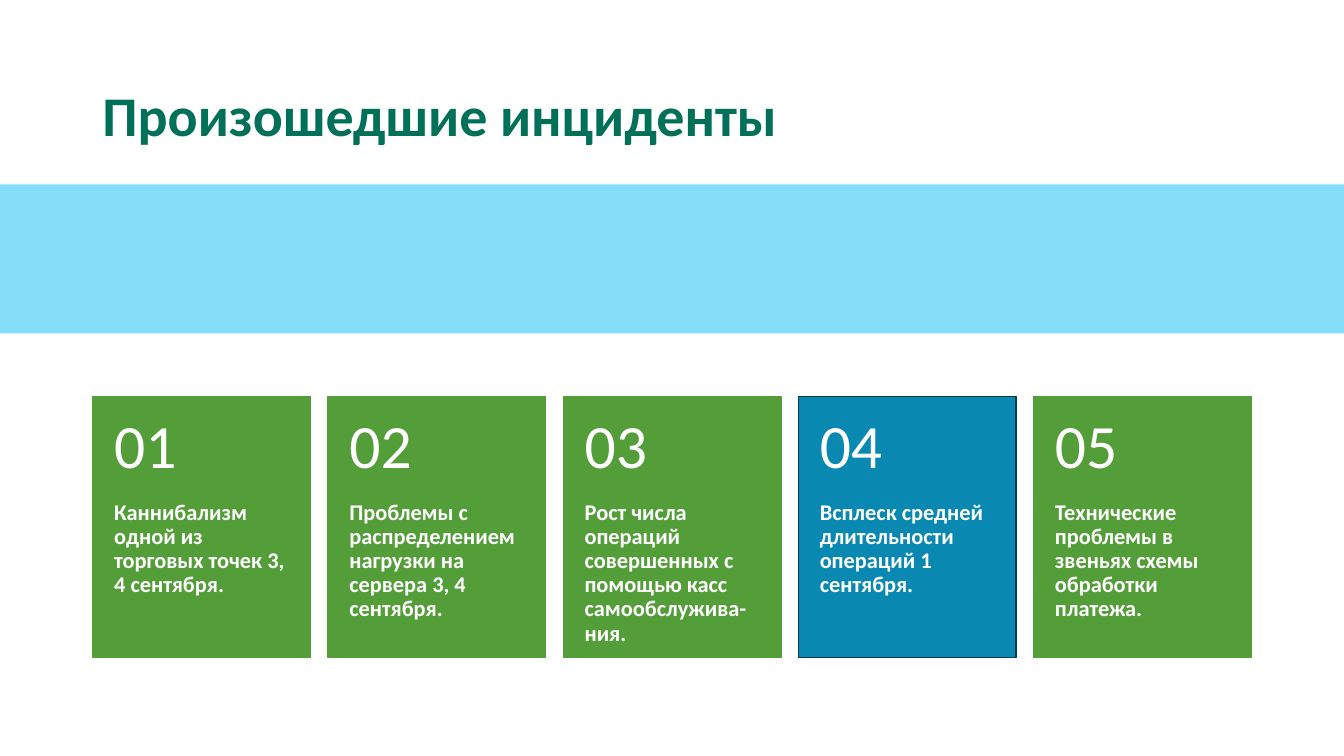
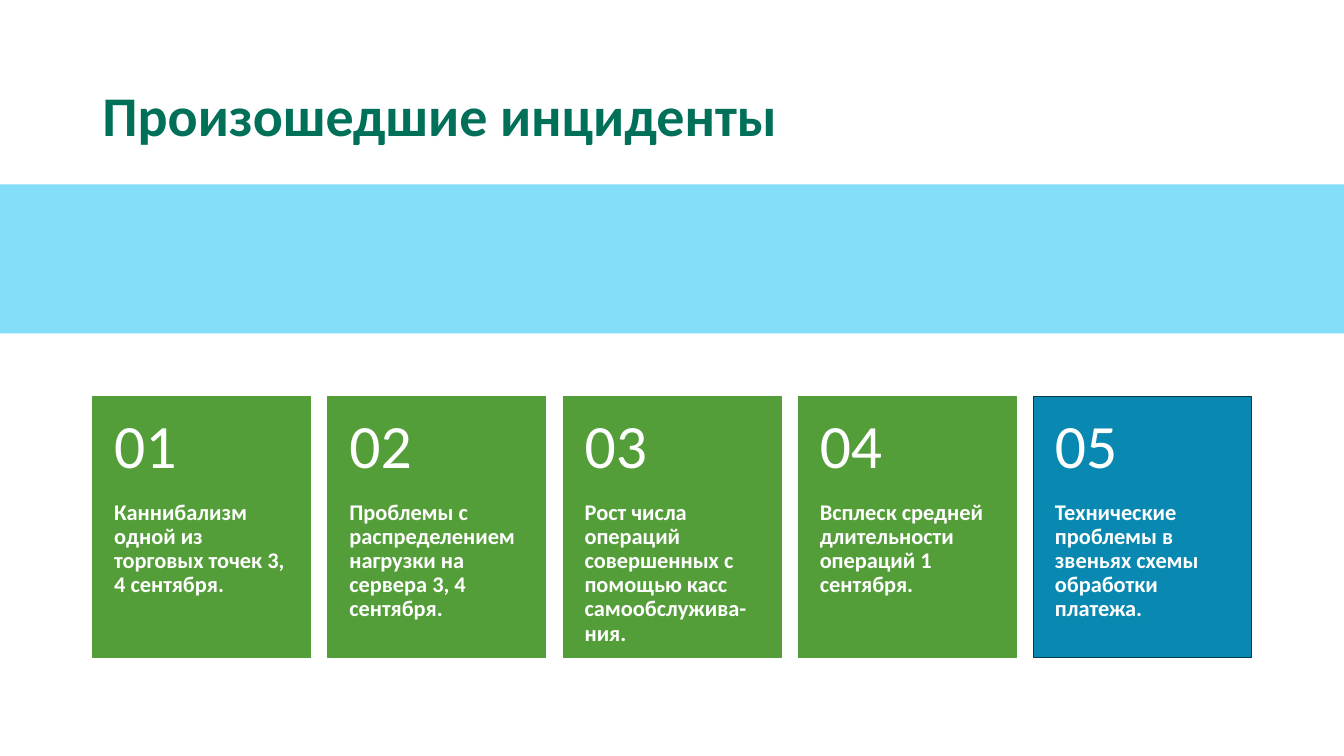
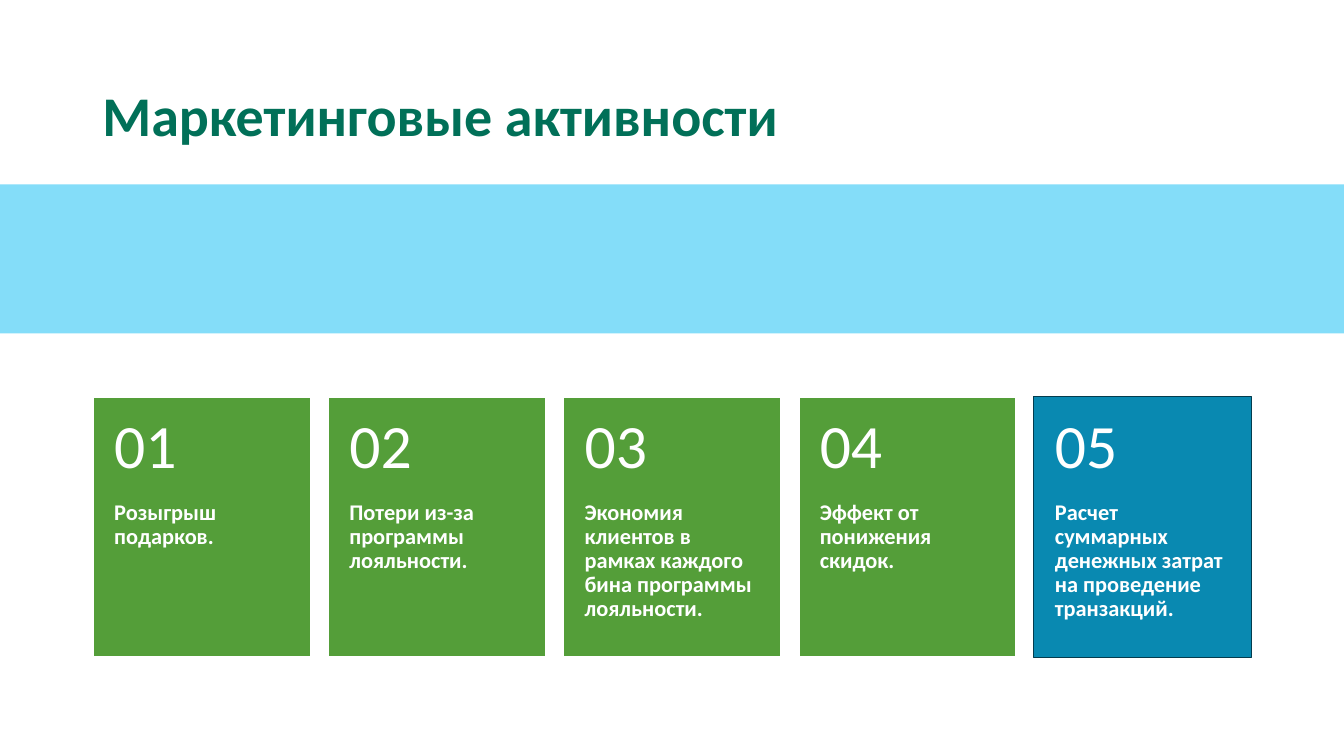
from pptx import Presentation
from pptx.dml.color import RGBColor
from pptx.enum.shapes import MSO_SHAPE
from pptx.enum.text import MSO_ANCHOR, MSO_AUTO_SIZE, PP_ALIGN
from pptx.util import Pt

RECTANGLE = MSO_SHAPE.RECTANGLE
TOP, MIDDLE = MSO_ANCHOR.TOP, MSO_ANCHOR.MIDDLE
LEFT = PP_ALIGN.LEFT
NO_AUTOFIT = MSO_AUTO_SIZE.NONE

INCIDENTS = [
    "Каннибализм одной из торговых точек 3, 4 сентября.",
    "Проблемы с распределением нагрузки на сервера 3, 4 сентября.",
    "Рост числа операций совершенных с помощью касс самообслужива-ния.",
    "Всплеск средней длительности операций 1 сентября.",
    "Технические проблемы в звеньях схемы обработки платежа.",
]
ACTIVITIES = [
    "Розыгрыш подарков.",
    "Потери из-за программы лояльности.",
    "Экономия клиентов в рамках каждого бина программы лояльности.",
    "Эффект от понижения скидок.",
    "Расчет суммарных денежных затрат на проведение транзакций.",
]
GREEN_EDGE, WHITE_EDGE = ("green", 1), ("white", 1.5)
SLIDES = [
    {"title": "Произошедшие инциденты", "cards": INCIDENTS, "active": 4, "edge": GREEN_EDGE},
    {"title": "Произошедшие инциденты", "cards": INCIDENTS, "active": 5, "edge": GREEN_EDGE},
    {"title": "Маркетинговые активности", "cards": ACTIVITIES, "active": 5, "edge": WHITE_EDGE},
]

COLORS = {
    "title": "017058",
    "band": "84DDF9",
    "green": "549E39",
    "active": "0989B1",
    "active edge": "043C4E",
    "white": "FFFFFF",
}
FONT = "Calibri"

SLIDE_W, SLIDE_H = 960, 540
TITLE_BOX = (66, 54, 828, 104.4)
TITLE_INSETS = (7.2, 3.6, 7.2, 47.6)
BAND_BOX = (0, 131.8, SLIDE_W, 106.4)
CARD_LEFT, CARD_TOP, CARD_PITCH = 66.4, 283.2, 168
CARD_W, CARD_H, NUMBER_H = 155.5, 186.5, 74.6


def rgb(name):
    return RGBColor.from_string(COLORS[name])


def points(box):
    return [Pt(length) for length in box]


def write(shape, text, size, color="white", bold=False, anchor=TOP, insets=(0, 0, 0, 0)):
    frame = shape.text_frame
    frame.word_wrap = True
    frame.auto_size = NO_AUTOFIT
    frame.vertical_anchor = anchor
    (frame.margin_left, frame.margin_top,
     frame.margin_right, frame.margin_bottom) = points(insets)
    paragraph = frame.paragraphs[0]
    paragraph.alignment = LEFT
    paragraph.line_spacing = 0.9
    run = paragraph.add_run()
    run.text = text
    run.font.name = FONT
    run.font.size = Pt(size)
    run.font.bold = bold
    run.font.color.rgb = rgb(color)


def add_rectangle(slide, box, fill, edge=None):
    rectangle = slide.shapes.add_shape(RECTANGLE, *points(box))
    rectangle.shadow.inherit = False
    rectangle.fill.solid()
    rectangle.fill.fore_color.rgb = rgb(fill)
    if edge:
        color, width = edge
        rectangle.line.color.rgb = rgb(color)
        rectangle.line.width = Pt(width)
    else:
        rectangle.line.fill.background()
    return rectangle


def add_card(slide, number, text, active, edge):
    left = CARD_LEFT + (number - 1) * CARD_PITCH
    fill, edge = ("active", ("active edge", 1)) if active else ("green", edge)
    add_rectangle(slide, (left, CARD_TOP, CARD_W, CARD_H), fill, edge)
    caption_box = (left, CARD_TOP + NUMBER_H, CARD_W, CARD_H - NUMBER_H)
    write(slide.shapes.add_textbox(*points(caption_box)), text, 16,
          bold=True, insets=(15.2, 0, 15.2, 26))
    number_box = (left, CARD_TOP, CARD_W, NUMBER_H)
    write(slide.shapes.add_textbox(*points(number_box)), f"{number:02}", 44,
          anchor=MIDDLE, insets=(15.2, 13, 15.2, 13))


def add_title(slide, text):
    title = slide.shapes.title
    title.left, title.top, title.width, title.height = points(TITLE_BOX)
    write(title, text, 40, color="title", bold=True, anchor=MIDDLE, insets=TITLE_INSETS)


def move_to_layout(shape, layout):
    """Put the shape behind everything on slides that use the layout."""
    layout.shapes.element.insert(2, shape.element)


def main():
    deck = Presentation()
    deck.slide_width, deck.slide_height = Pt(SLIDE_W), Pt(SLIDE_H)
    layout = deck.slide_layouts.get_by_name("Title Only")
    for content in SLIDES:
        slide = deck.slides.add_slide(layout)
        add_title(slide, content["title"])
        for number, text in enumerate(content["cards"], 1):
            add_card(slide, number, text, number == content["active"], content["edge"])
    move_to_layout(add_rectangle(deck.slides[0], BAND_BOX, "band"), layout)
    deck.save("out.pptx")


if __name__ == "__main__":
    main()
